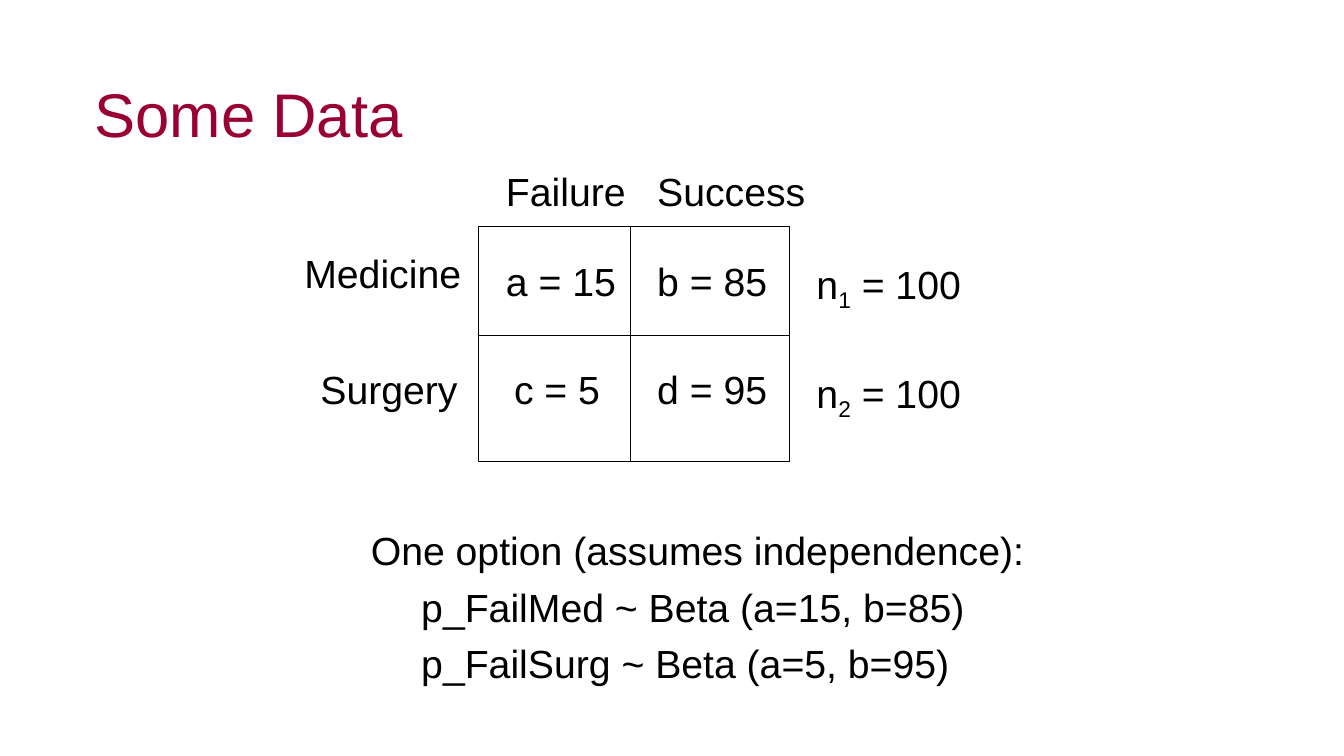
import pptx
import pptx.util
import pptx.dml.color
import pptx.enum.shapes
import pptx.enum.text
import pptx.oxml.ns
import lxml.etree

Inches = pptx.util.Inches


def color(value):
    return pptx.dml.color.RGBColor.from_string(value)


def add_label(left, top, width, height, lines, size=28, ink="000000", spacing=None):
    label = slide.shapes.add_textbox(Inches(left), Inches(top), Inches(width), Inches(height))
    frame = label.text_frame
    frame.word_wrap = False
    frame.text = "\n".join(lines)
    for paragraph in frame.paragraphs:
        if spacing:
            paragraph.line_spacing = spacing
        for run in paragraph.runs:
            run.font.name = "Arial"
            run.font.size = pptx.util.Pt(size)
            run.font.color.rgb = color(ink)
    return frame


presentation = pptx.Presentation()
presentation.slide_width = Inches(13.33)
presentation.slide_height = Inches(7.5)
slide = presentation.slides.add_slide(presentation.slide_layouts[6])

title = add_label(0.84, 0.42, 11.8, 1.5, ["Some Data"], 44, "990033", 0.9)
title.word_wrap = True
title.vertical_anchor = pptx.enum.text.MSO_ANCHOR.MIDDLE

left, top, right, bottom = 4.75, 2.25, 7.83, 4.58
middle_x, middle_y = 6.25, 3.33
grid = slide.shapes.add_shape(
    pptx.enum.shapes.MSO_SHAPE.RECTANGLE,
    Inches(left), Inches(top), Inches(right - left), Inches(bottom - top))
grid.shadow.inherit = False
grid.fill.background()
grid.line.color.rgb = color("000000")
grid.line.width = pptx.util.Pt(0.75)

for x1, y1, x2, y2 in [(middle_x, top, middle_x, bottom), (left, middle_y, right, middle_y)]:
    divider = slide.shapes.add_connector(
        pptx.enum.shapes.MSO_CONNECTOR.STRAIGHT, Inches(x1), Inches(y1), Inches(x2), Inches(y2))
    divider.line.color.rgb = color("000000")
    divider.line.width = pptx.util.Pt(0.75)
    lxml.etree.SubElement(divider._element.spPr, pptx.oxml.ns.qn("a:effectLst"))

for text, x, y, width in [
    ("Failure", 4.92, 1.61, 1.41),
    ("Success", 6.42, 1.61, 1.69),
    ("Medicine", 2.92, 2.42, 1.78),
    ("a = 15", 4.92, 2.5, 1.31),
    ("b = 85", 6.42, 2.5, 1.31),
    ("Surgery", 3.08, 3.58, 1.58),
    ("c = 5", 5, 3.58, 1.06),
    ("d = 95", 6.42, 3.58, 1.31),
]:
    add_label(x, y, width, 0.57, [text])

for subscript, y in [("1", 2.53), ("2", 3.61)]:
    total = add_label(8, y, 1.67, 0.57, ["n"]).paragraphs[0]
    for text, baseline in [(subscript, "-25000"), (" = 100", "0")]:
        run = total.add_run()
        run.text = text
        run.font.name = "Arial"
        run.font.size = pptx.util.Pt(28)
        run.font.color.rgb = color("000000")
        run.font._element.set("baseline", baseline)

model = add_label(3.58, 5.08, 6.77, 1.8, [
    "One option (assumes independence):",
    "\tp_FailMed ~ Beta (a=15, b=85)",
    "\tp_FailSurg ~ Beta (a=5, b=95)",
], spacing=1.2)
for paragraph in model.paragraphs[1:]:
    tabs = lxml.etree.SubElement(paragraph._p.get_or_add_pPr(), pptx.oxml.ns.qn("a:tabLst"))
    lxml.etree.SubElement(tabs, pptx.oxml.ns.qn("a:tab"), pos=str(Inches(0.5)), algn="l")

presentation.save("out.pptx")
